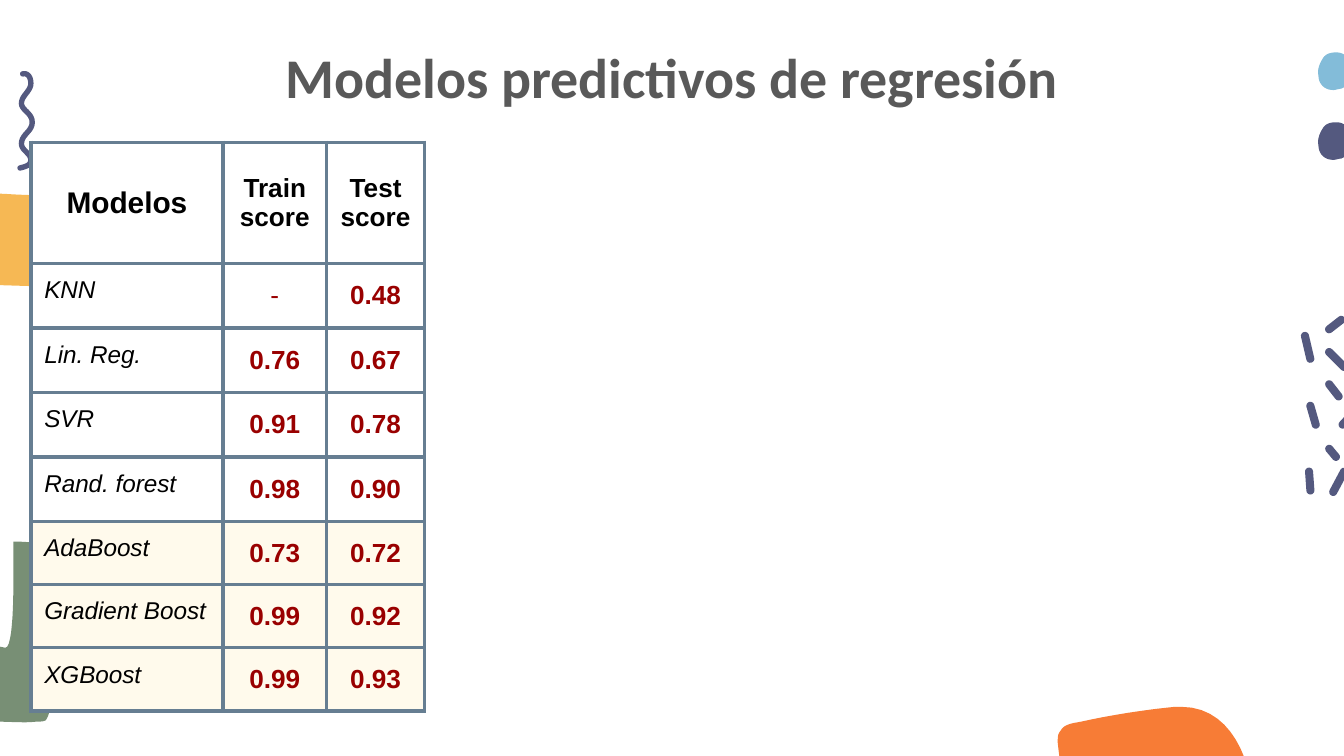
from math import atan2, cos, pi, sin

from lxml.etree import SubElement
from pptx import Presentation
from pptx.dml.color import RGBColor
from pptx.enum.text import MSO_ANCHOR as Anchor, MSO_AUTO_SIZE as AutoSize, PP_ALIGN as Align
from pptx.oxml.ns import qn
from pptx.util import Inches, Pt

WIDTH = 10
HEIGHT = WIDTH * 9 / 16
NAVY, BLUE, ORANGE, GREEN, YELLOW = "54597F", "83BCD9", "F77C36", "788F75", "F6B854"
GRAY, BLACK, RED, WHITE, CREAM, STEEL = "595959", "000000", "990000", "FFFFFF", "FFFAEC", "667E92"

TITLE = "Modelos predictivos de regresión"
HEADERS = ["Modelos", "Train score", "Test score"]
SCORES = [
    ("KNN", "-", "0.48"),
    ("Lin. Reg.", "0.76", "0.67"),
    ("SVR", "0.91", "0.78"),
    ("Rand. forest", "0.98", "0.90"),
    ("AdaBoost", "0.73", "0.72"),
    ("Gradient Boost", "0.99", "0.92"),
    ("XGBoost", "0.99", "0.93"),
]
BOOSTING = {"AdaBoost", "Gradient Boost", "XGBoost"}
COLUMN_WIDTHS = [1.43, 0.77, 0.73]
ROW_HEIGHTS = [0.9] + [0.48] * 4 + [0.47] * 3

ORANGE_BLOB = [
    (7.89, 5.7), (7.88, 5.6, 7.87, 5.54, 7.87, 5.52), (7.87, 5.49, 7.87, 5.46, 7.89, 5.44),
    (7.91, 5.4, 7.95, 5.39, 7.99, 5.38), (8.05, 5.37, 8.09, 5.36, 8.14, 5.35),
    (8.34, 5.31, 8.54, 5.28, 8.74, 5.26), (8.76, 5.26, 8.78, 5.26, 8.79, 5.26),
    (9.06, 5.26, 9.21, 5.47, 9.28, 5.7),
]
GREEN_BLOB = [
    (0.4, 4.07), (0.4, 4.06, 0.39, 4.05, 0.38, 4.05), (0.29, 4.04, 0.19, 4.03, 0.1, 4.03),
    (0.1, 4.3), (0.1, 4.53, 0.09, 4.82, 0.04, 4.82), (-0.01, 4.81), (-0.01, 5.37),
    (0.08, 5.37, 0.18, 5.38, 0.27, 5.37), (0.29, 5.37, 0.32, 5.37, 0.34, 5.36),
    (0.36, 5.33, 0.37, 5.3, 0.37, 5.26), (0.38, 4.87, 0.4, 4.48, 0.4, 4.08),
]
YELLOW_BLOB = [
    (-0.05, 1.44), (0.03, 1.44, 0.12, 1.45, 0.2, 1.45), (0.22, 1.45, 0.25, 1.46, 0.25, 1.5),
    (0.25, 1.55), (0.27, 1.74, 0.3, 1.95, 0.28, 2.13), (-0.05, 2.12),
]
DOT = [
    (9.94, 0.39), (9.9, 0.39, 9.86, 0.4, 9.84, 0.44), (9.82, 0.47, 9.8, 0.52, 9.81, 0.56),
    (9.81, 0.63, 9.86, 0.67, 9.92, 0.67), (9.94, 0.67, 9.96, 0.66, 9.98, 0.66),
    (10.1, 0.62, 10.11, 0.44, 9.99, 0.4), (9.97, 0.39, 9.95, 0.39, 9.94, 0.39),
]
DOT_GAP = 0.52
SQUIGGLE = [
    (0.17, 0.55), (0.21, 0.54, 0.23, 0.58, 0.23, 0.62), (0.23, 0.68, 0.16, 0.71, 0.16, 0.77),
    (0.16, 0.82, 0.24, 0.84, 0.24, 0.91), (0.24, 0.98, 0.16, 1, 0.16, 1.07),
    (0.16, 1.12, 0.23, 1.14, 0.23, 1.19), (0.23, 1.23, 0.19, 1.24, 0.15, 1.25),
]
DASHES = [
    [(9.89, 2.45), (9.98, 2.38)], [(9.89, 2.62), (10, 2.73)], [(9.99, 3.16), (10.11, 3.03)],
    [(9.89, 2.86), (9.96, 2.95)], [(9.92, 3.66), (10, 3.51)], [(9.89, 3.34), (9.94, 3.4)],
    [(9.75, 3.02), (9.79, 3.16)], [(9.74, 3.51), (9.75, 3.65)], [(9.71, 2.5), (9.75, 2.67)],
]


def color(value):
    return RGBColor.from_string(value)


def trace(segments, steps=10):
    points = [segments[0]]
    for segment in segments[1:]:
        if len(segment) == 2:
            points.append(segment)
            continue
        controls = [points[-1], segment[:2], segment[2:4], segment[4:]]
        for step in range(1, steps + 1):
            t = step / steps
            weights = [(1 - t) ** 3, 3 * t * (1 - t) ** 2, 3 * t * t * (1 - t), t ** 3]
            points.append(tuple(sum(w * c[axis] for w, c in zip(weights, controls)) for axis in (0, 1)))
    return points


def ribbon(line, radius):
    outline = []
    for points in (line, line[::-1]):
        for index, (x, y) in enumerate(points):
            before, after = points[max(index - 1, 0)], points[min(index + 1, len(points) - 1)]
            angle = atan2(after[1] - before[1], after[0] - before[0]) - pi / 2
            turns = range(9) if index == len(points) - 1 else [0]
            outline += [(x + radius * cos(angle + turn * pi / 8), y + radius * sin(angle + turn * pi / 8))
                        for turn in turns]
    return outline


def draw(slide, points, fill):
    vertices = [(Inches(x), Inches(y)) for x, y in points]
    builder = slide.shapes.build_freeform(*vertices[0])
    builder.add_line_segments(vertices[1:], close=True)
    shape = builder.convert_to_shape()
    shape.shadow.inherit = False
    shape.fill.solid()
    shape.fill.fore_color.rgb = color(fill)
    shape.line.fill.background()


def write(text_frame, text, size, ink, font="Arial", bold=False, italic=False, align=Align.CENTER):
    text_frame.text = text
    paragraph = text_frame.paragraphs[0]
    paragraph.alignment = align
    run_font = paragraph.runs[0].font
    run_font.name, run_font.size = font, Pt(size)
    run_font.bold, run_font.italic = bold, italic
    run_font.color.rgb = color(ink)


def set_margins(target):
    target.margin_left = target.margin_right = Inches(0.1)
    target.margin_top = target.margin_bottom = Inches(0.1)


def style_cell(cell, fill):
    set_margins(cell)
    properties = cell._tc.get_or_add_tcPr()
    for side in ("lnL", "lnR", "lnT", "lnB"):
        border = SubElement(properties, qn(f"a:{side}"), w=str(Pt(2.25)))
        SubElement(SubElement(border, qn("a:solidFill")), qn("a:srgbClr"), val=STEEL)
    cell.fill.solid()
    cell.fill.fore_color.rgb = color(fill)


def add_decorations(slide):
    lower_dot = [(x, y + DOT_GAP) for x, y in trace(DOT)]
    for points, fill in [
        (trace(ORANGE_BLOB), ORANGE), (trace(GREEN_BLOB), GREEN), (trace(YELLOW_BLOB), YELLOW),
        (ribbon(trace(SQUIGGLE), 0.02), NAVY), (lower_dot, NAVY), (trace(DOT), BLUE),
    ]:
        draw(slide, points, fill)
    for dash in DASHES:
        draw(slide, ribbon(dash, 0.03), NAVY)


def add_title(slide):
    title = slide.shapes.title
    title.left, title.top, title.width, title.height = map(Inches, (0.78, 0.22, 8.44, 0.63))
    text_frame = title.text_frame
    set_margins(text_frame)
    text_frame.auto_size = AutoSize.NONE
    text_frame.vertical_anchor = Anchor.TOP
    write(text_frame, TITLE, 30, GRAY, "Calibri", bold=True)


def add_scores(slide):
    rows = [HEADERS, *SCORES]
    table = slide.shapes.add_table(
        len(rows), len(HEADERS), Inches(0.23), Inches(1.06),
        Inches(sum(COLUMN_WIDTHS)), Inches(sum(ROW_HEIGHTS)),
    ).table
    table.horz_banding = False
    for column, width in zip(table.columns, COLUMN_WIDTHS):
        column.width = Inches(width)
    for row_index, (row, height) in enumerate(zip(rows, ROW_HEIGHTS)):
        table.rows[row_index].height = Inches(height)
        for column_index, text in enumerate(row):
            cell = table.cell(row_index, column_index)
            style_cell(cell, CREAM if row[0] in BOOSTING else WHITE)
            cell.vertical_anchor = Anchor.MIDDLE
            if row_index == 0:
                write(cell.text_frame, text, 14 if column_index else 16, BLACK, bold=True)
            elif column_index == 0:
                cell.vertical_anchor = Anchor.TOP
                write(cell.text_frame, text, 13, BLACK, italic=True, align=Align.LEFT)
            else:
                write(cell.text_frame, text, 14, RED, bold=text != "-")


def main():
    presentation = Presentation()
    presentation.slide_width, presentation.slide_height = Inches(WIDTH), Inches(HEIGHT)
    slide = presentation.slides.add_slide(presentation.slide_layouts[5])
    add_decorations(slide)
    add_title(slide)
    add_scores(slide)
    presentation.save("out.pptx")


if __name__ == "__main__":
    main()
